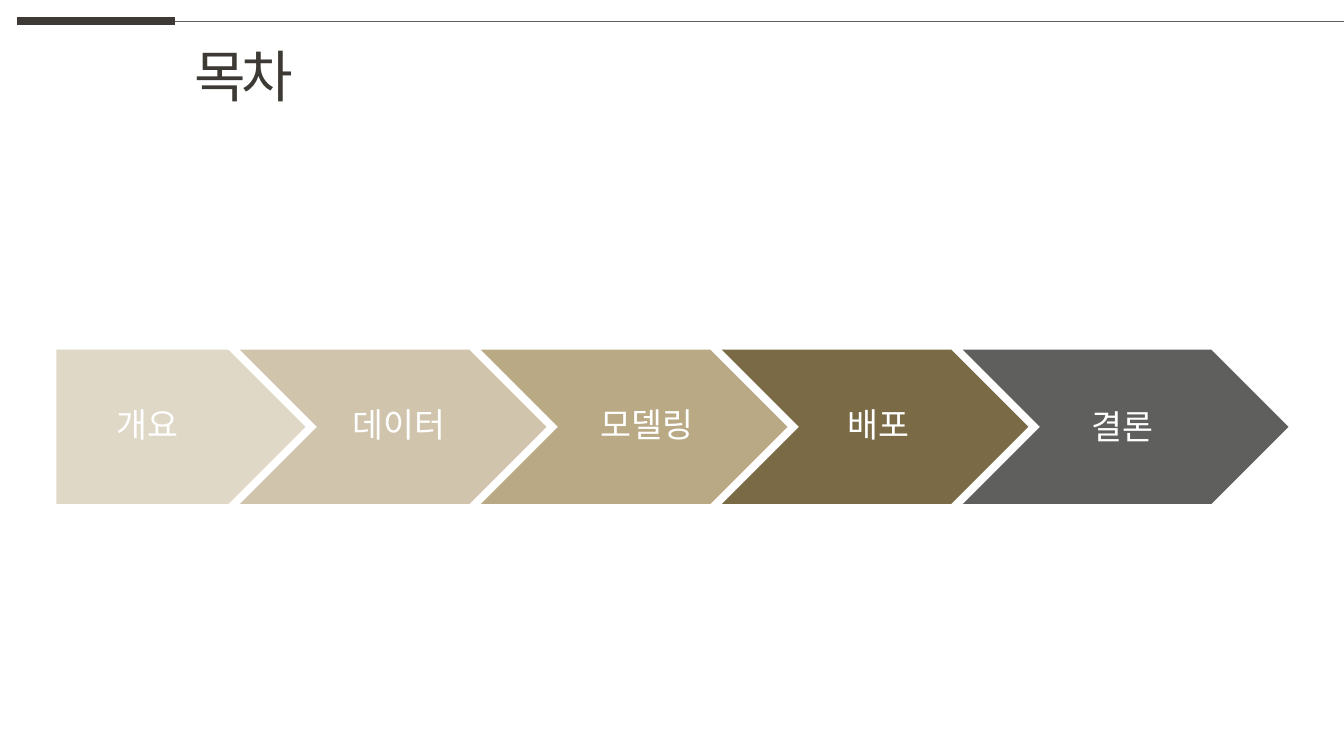
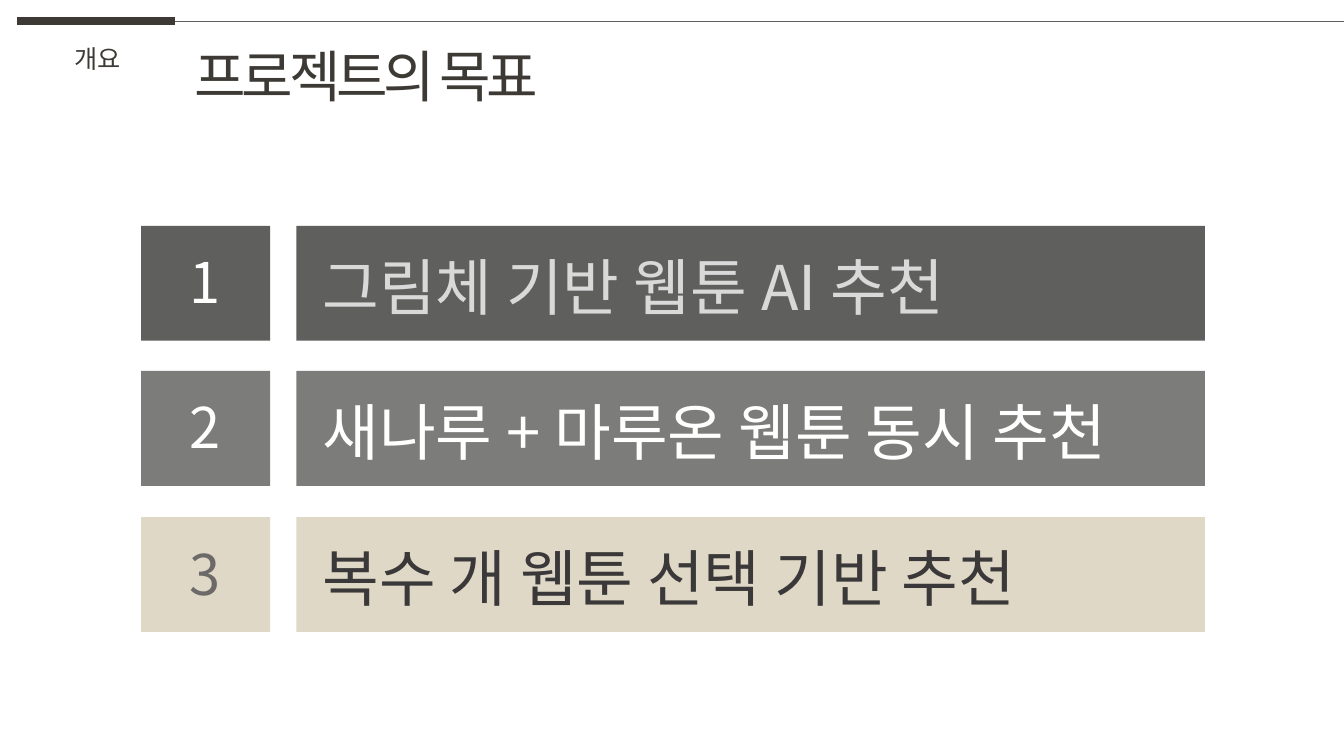
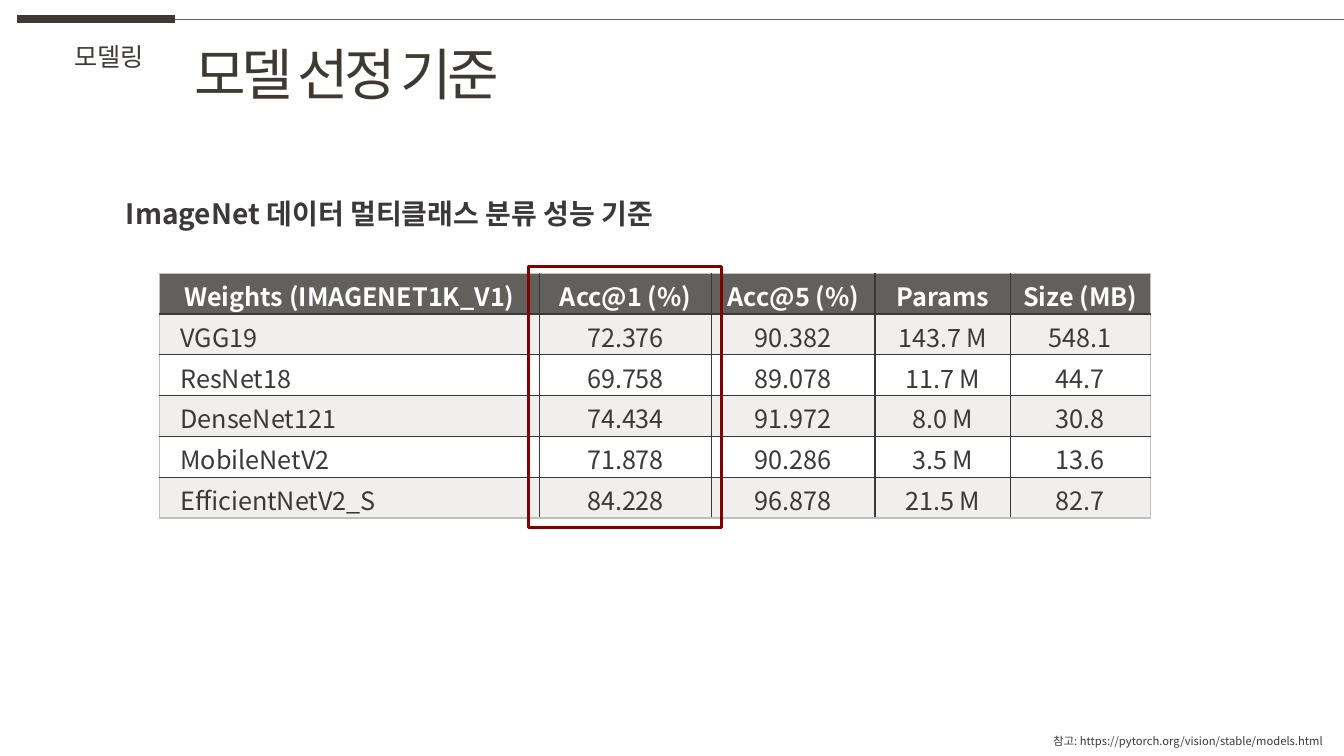
import lxml.etree
import pptx
import pptx.dml.color
import pptx.enum.shapes
import pptx.enum.text
import pptx.oxml.ns
import pptx.util

RGB = pptx.dml.color.RGBColor
SHAPE = pptx.enum.shapes.MSO_SHAPE
ALIGN = pptx.enum.text.PP_ALIGN
qn = pptx.oxml.ns.qn

FONT = "Noto Sans CJK KR"
WHITE = RGB(0xFF, 0xFF, 0xFF)
INK = RGB(0x3D, 0x3A, 0x35)
TEXT = RGB(0x3A, 0x38, 0x38)
DARK_GREY = RGB(0x5F, 0x5F, 0x5D)
MID_GREY = RGB(0x7C, 0x7C, 0x7A)
NUMBER_GREY = RGB(0x6C, 0x69, 0x69)
PALE_GREY = RGB(0xD9, 0xD9, 0xD9)
EDGE_GREY = RGB(0xBF, 0xBF, 0xBF)
CREAM = RGB(0xDF, 0xD8, 0xC7)
SAND = RGB(0xD0, 0xC5, 0xAC)
KHAKI = RGB(0xB9, 0xA9, 0x84)
BROWN = RGB(0x7A, 0x6A, 0x45)
HEAD_FILL = RGB(0x2E, 0x2C, 0x28)
BAND_FILL = RGB(0xB5, 0xB1, 0xAA)
RED = RGB(0x80, 0x00, 0x00)

SLIDE_W, SLIDE_H = 1333, 750
TITLE_ONLY = 5


def px(n):
    """Lengths are in px, 100 to the inch."""
    return pptx.util.Emu(n * 9144)


def box(x, y, w, h):
    return px(x), px(y), px(w), px(h)


# Shared parts

def add_run(p, text, size, color, bold=False, spacing=0):
    r = p.add_run()
    r.text = text
    r.font.name = FONT
    r.font.size = pptx.util.Pt(size)
    r.font.bold = bold
    r.font.color.rgb = color
    rpr = r._r.get_or_add_rPr()
    lxml.etree.SubElement(rpr, qn("a:ea"), typeface=FONT)
    if spacing:
        rpr.set("spc", str(spacing * 100))


def fill_text(sp, text, size, color, align=ALIGN.LEFT, wrap=False, **style):
    tf = sp.text_frame
    tf.word_wrap = wrap
    tf.auto_size = pptx.enum.text.MSO_AUTO_SIZE.SHAPE_TO_FIT_TEXT
    tf.vertical_anchor = pptx.enum.text.MSO_ANCHOR.TOP
    p = tf.paragraphs[0]
    p.alignment = align
    add_run(p, text, size, color, **style)


def add_text(slide, area, text, size, color, **style):
    fill_text(slide.shapes.add_textbox(*box(*area)), text, size, color, **style)


def add_block(slide, kind, area, fill=None, line=None, width=0):
    sp = slide.shapes.add_shape(kind, *box(*area))
    sp.shadow.inherit = False
    if fill is None:
        sp.fill.background()
    else:
        sp.fill.solid()
        sp.fill.fore_color.rgb = fill
    if line is None:
        sp.line.fill.background()
    else:
        sp.line.color.rgb = line
        sp.line.width = pptx.util.Pt(width)


def add_rule(slide, x1, x2, y, color, width):
    line = slide.shapes.add_connector(
        pptx.enum.shapes.MSO_CONNECTOR.STRAIGHT, px(x1), px(y), px(x2), px(y))
    line.line.color.rgb = color
    line.line.width = pptx.util.Pt(width)
    lxml.etree.SubElement(line._element.spPr, qn("a:effectLst"))


def new_slide(prs, title, title_w, section=None, top=21):
    """Slide with the header band, its title and an optional section name."""
    slide = prs.slides.add_slide(prs.slide_layouts[TITLE_ONLY])
    add_rule(slide, 17, 174, top, INK, 6)
    add_rule(slide, 174, SLIDE_W, top, DARK_GREY, 0.5)
    sp = slide.shapes.title
    sp.left, sp.top, sp.width, sp.height = box(183, top + 15, title_w, 77)
    fill_text(sp, title, 40, INK, spacing=-3)
    if section:
        add_text(slide, (64, top + 17, 94, 40), section, 18, INK)
    return slide


# Agenda: a row of arrows

def add_stages(slide, x, y, h):
    pitch, chevron_w = 239, 304
    # name, fill, label offset from x, label width, label drop
    stages = [("개요", CREAM, 50, 88, 49), ("데이터", SAND, 284, 121, 49),
              ("모델링", KHAKI, 530, 121, 49), ("배포", BROWN, 775, 88, 49),
              ("결론", DARK_GREY, 1017, 85, 51)]
    for i, (name, fill, label_x, label_w, drop) in enumerate(stages):
        if i == 0:
            add_block(slide, SHAPE.PENTAGON, (x, y, 247, h), fill)
        else:
            w = 323 if i == len(stages) - 1 else chevron_w
            add_block(slide, SHAPE.CHEVRON,
                      (x + i * pitch - 57, y, w, h), fill)
        add_text(slide, (x + label_x, y + drop, label_w, 50), name, 24, WHITE)


# Goals: numbered bars

def add_goal(slide, x, y, number, goal, goal_w, fill, number_color, goal_color):
    add_block(slide, SHAPE.RECTANGLE, (x, y, 128, 114), fill)
    add_block(slide, SHAPE.RECTANGLE, (x + 154, y, 901, 114), fill)
    add_text(slide, (x + 38, y + 17, 48, 77), str(number), 40, number_color,
             align=ALIGN.CENTER, spacing=-3)
    add_text(slide, (x + 170, y + 18, goal_w, 84), goal, 44, goal_color)


def add_goals(slide, x, y):
    goals = [("그림체 기반 웹툰 AI 추천", 710, DARK_GREY, WHITE, PALE_GREY),
             ("새나루 + 마루온 웹툰 동시 추천", 874, MID_GREY, WHITE, WHITE),
             ("복수 개 웹툰 선택 기반 추천", 784, CREAM, NUMBER_GREY, TEXT)]
    for i, goal in enumerate(goals):
        add_goal(slide, x, y + 289 * i // 2, i + 1, *goal)


# Model table

def set_border(cell, side, color):
    ln = lxml.etree.SubElement(cell._tc.get_or_add_tcPr(), qn("a:" + side),
                               w=str(pptx.util.Pt(1)))
    solid = lxml.etree.SubElement(ln, qn("a:solidFill"))
    lxml.etree.SubElement(solid, qn("a:srgbClr"), val=str(color))


def set_fill(cell, color, percent):
    cell.fill.solid()
    cell.fill.fore_color.rgb = color
    clr = cell._tc.tcPr.find(qn("a:solidFill"))[0]
    lxml.etree.SubElement(clr, qn("a:alpha"), val=str(percent * 1000))


def add_model_table(slide, area):
    rows = [
        ("Weights (IMAGENET1K_V1)", "Acc@1 (%)", "Acc@5 (%)", "Params", "Size (MB)"),
        ("VGG19", "72.376", "90.382", "143.7 M", "548.1"),
        ("ResNet18", "69.758", "89.078", "11.7 M", "44.7"),
        ("DenseNet121", "74.434", "91.972", "8.0 M", "30.8"),
        ("MobileNetV2", "71.878", "90.286", "3.5 M", "13.6"),
        ("EfficientNetV2_S", "84.228", "96.878", "21.5 M", "82.7")]
    widths = [377, 171, 162, 134, 139]
    last_row, last_col = len(rows) - 1, len(widths) - 1
    table = slide.shapes.add_table(len(rows), len(widths), *box(*area)).table
    for col, w in zip(table.columns, widths):
        col.width = px(w)
    for i, row in enumerate(rows):
        for j, value in enumerate(row):
            cell = table.cell(i, j)
            head, name = i == 0, i > 0 and j == 0
            cell.margin_left = px(21 if name else 10)
            cell.margin_right = px(10)
            cell.margin_top, cell.margin_bottom = px(4), px(0)
            for side, outer in (("lnL", j == 0), ("lnR", j == last_col),
                                ("lnT", head), ("lnB", i == last_row)):
                set_border(cell, side, EDGE_GREY if outer else TEXT)
            if head:
                set_fill(cell, HEAD_FILL, 75)
            elif i % 2:
                set_fill(cell, BAND_FILL, 20)
            else:
                cell.fill.background()
            p = cell.text_frame.paragraphs[0]
            p.alignment = ALIGN.LEFT if name else ALIGN.CENTER
            add_run(p, value, 18, WHITE if head else TEXT, bold=head)


def main():
    prs = pptx.Presentation()
    prs.slide_width, prs.slide_height = px(SLIDE_W), px(SLIDE_H)

    slide = new_slide(prs, "목차", 120)
    add_stages(slide, 56, 347, 153)

    slide = new_slide(prs, "프로젝트의 목표", 383, "개요")
    add_goals(slide, 140, 224)

    slide = new_slide(prs, "모델 선정 기준", 344, "모델링", top=19)
    add_model_table(slide, (158, 271, 983, 243))
    add_text(slide, (115, 190, 665, 44), "ImageNet 데이터 멀티클래스 분류 성능 기준",
             20, TEXT, bold=True, wrap=True)
    add_text(slide, (1035, 724, 295, 24),
             "참고: https://pytorch.org/vision/stable/models.html",
             8, TEXT, wrap=True)
    add_block(slide, SHAPE.RECTANGLE, (524, 264, 192, 259), line=RED, width=2.25)

    prs.save("out.pptx")


if __name__ == "__main__":
    main()
